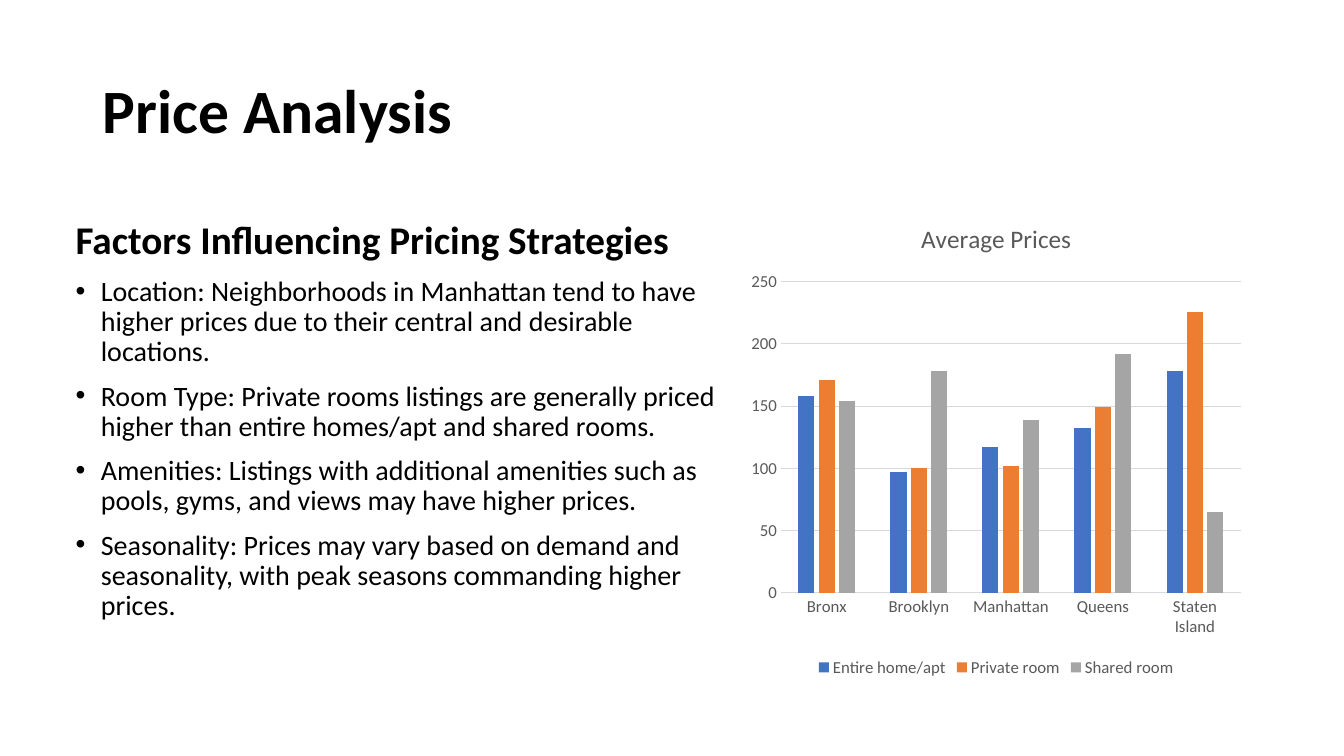
from dataclasses import dataclass

from lxml.etree import SubElement
from pptx import Presentation
from pptx.chart.data import CategoryChartData
from pptx.dml.color import RGBColor
from pptx.enum.chart import XL_CHART_TYPE as Kind
from pptx.enum.chart import XL_LEGEND_POSITION as Side
from pptx.enum.chart import XL_TICK_MARK as Tick
from pptx.enum.text import MSO_ANCHOR as Anchor
from pptx.enum.text import MSO_AUTO_SIZE as Fit
from pptx.enum.text import PP_ALIGN as Align
from pptx.oxml.ns import qn
from pptx.util import Inches, Pt


@dataclass(frozen=True)
class Theme:
    face: str = "Calibri"
    ink: str = "000000"
    gray: str = "595959"
    rule: str = "D9D9D9"
    bars: tuple = ("4472C4", "ED7D31", "A5A5A5")
    title: int = 44
    head: int = 28
    body: int = 20
    name: int = 18
    label: int = 12


THEME = Theme()

HEAD = "Factors Influencing Pricing Strategies"
POINTS = (
    "Location: Neighborhoods in Manhattan tend to have higher prices due to "
    "their central and desirable locations.",
    "Room Type: Private rooms listings are generally priced higher than "
    "entire homes/apt and shared rooms.",
    "Amenities: Listings with additional amenities such as pools, gyms, and "
    "views may have higher prices.",
    "Seasonality: Prices may vary based on demand and seasonality, with peak "
    "seasons commanding higher prices.",
)
AREAS = ("Bronx", "Brooklyn", "Manhattan", "Queens", "Staten Island")
PRICES = {
    "Entire home/apt": (158, 97, 117, 132, 178),
    "Private room": (171, 100, 102, 149, 226),
    "Shared room": (154, 178, 139, 192, 65),
}


def apply(item, **values):
    for key, value in values.items():
        setattr(item, key, value)


def style(font, size, tint, bold=False):
    apply(font, name=THEME.face, size=Pt(size), bold=bold)
    font.color.rgb = RGBColor.from_string(tint)


def rule(line):
    line.color.rgb = RGBColor.from_string(THEME.rule)
    line.width = Pt(0.75)


def place(shape, left, top, width, height, anchor):
    apply(shape, left=Inches(left), top=Inches(top),
          width=Inches(width), height=Inches(height))
    apply(shape.text_frame, word_wrap=True, auto_size=Fit.NONE,
          vertical_anchor=anchor)


def write(para, text, size, bold=False, gap=0):
    apply(para, alignment=Align.LEFT, line_spacing=0.9, space_before=Pt(gap))
    run = para.add_run()
    run.text = text
    style(run.font, size, THEME.ink, bold)


def bullet(para, mark=None):
    # A paragraph without a mark starts flush left
    props = para._p.get_or_add_pPr()
    dent = Inches(0.25) if mark else 0
    props.set("marL", str(dent))
    props.set("indent", str(-dent))
    if mark:
        SubElement(props, qn("a:buFont"), typeface="Arial")
        SubElement(props, qn("a:buChar"), char=mark)
    else:
        SubElement(props, qn("a:buNone"))


def add_list(shape):
    frame = shape.text_frame
    first = frame.paragraphs[0]
    write(first, HEAD, THEME.head, bold=True, gap=10)
    bullet(first)
    for point in POINTS:
        para = frame.add_paragraph()
        write(para, point, THEME.body, gap=10)
        bullet(para, "•")


def add_bars(slide):
    data = CategoryChartData()
    data.categories = AREAS
    for name, values in PRICES.items():
        data.add_series(name, values)
    chart = slide.shapes.add_chart(
        Kind.COLUMN_CLUSTERED, Inches(7.35), Inches(2),
        Inches(5.06), Inches(4.76), data).chart
    style(chart.font, THEME.label, THEME.gray)

    # Title and legend
    chart.has_title = True
    para = chart.chart_title.text_frame.paragraphs[0]
    run = para.add_run()
    run.text = "Average Prices"
    style(run.font, THEME.name, THEME.gray)
    chart.chart_title.include_in_layout = False
    chart.has_legend = True
    apply(chart.legend, position=Side.BOTTOM, include_in_layout=False)
    style(chart.legend.font, THEME.label, THEME.gray)

    # Columns
    plot = chart.plots[0]
    apply(plot, gap_width=219, overlap=-27, vary_by_categories=False)
    for series, tint in zip(plot.series, THEME.bars):
        series.format.fill.solid()
        series.format.fill.fore_color.rgb = RGBColor.from_string(tint)

    # Axes
    for axis in (chart.category_axis, chart.value_axis):
        apply(axis, major_tick_mark=Tick.NONE, minor_tick_mark=Tick.NONE)
        style(axis.tick_labels.font, THEME.label, THEME.gray)
    rule(chart.category_axis.format.line)
    scale = chart.value_axis
    apply(scale, minimum_scale=0, maximum_scale=250, major_unit=50,
          has_major_gridlines=True)
    scale.format.line.fill.background()
    rule(scale.major_gridlines.format.line)


def main():
    deck = Presentation()
    apply(deck, slide_width=Inches(13.33), slide_height=Inches(7.5))
    slide = deck.slides.add_slide(deck.slide_layouts[1])
    title, body = slide.placeholders
    place(title, 0.92, 0.4, 11.5, 1.45, Anchor.MIDDLE)
    write(title.text_frame.paragraphs[0], "Price Analysis", THEME.title, True)
    place(body, 0.65, 2.14, 6.61, 4.76, Anchor.TOP)
    add_list(body)
    add_bars(slide)
    deck.save("out.pptx")


if __name__ == "__main__":
    main()
